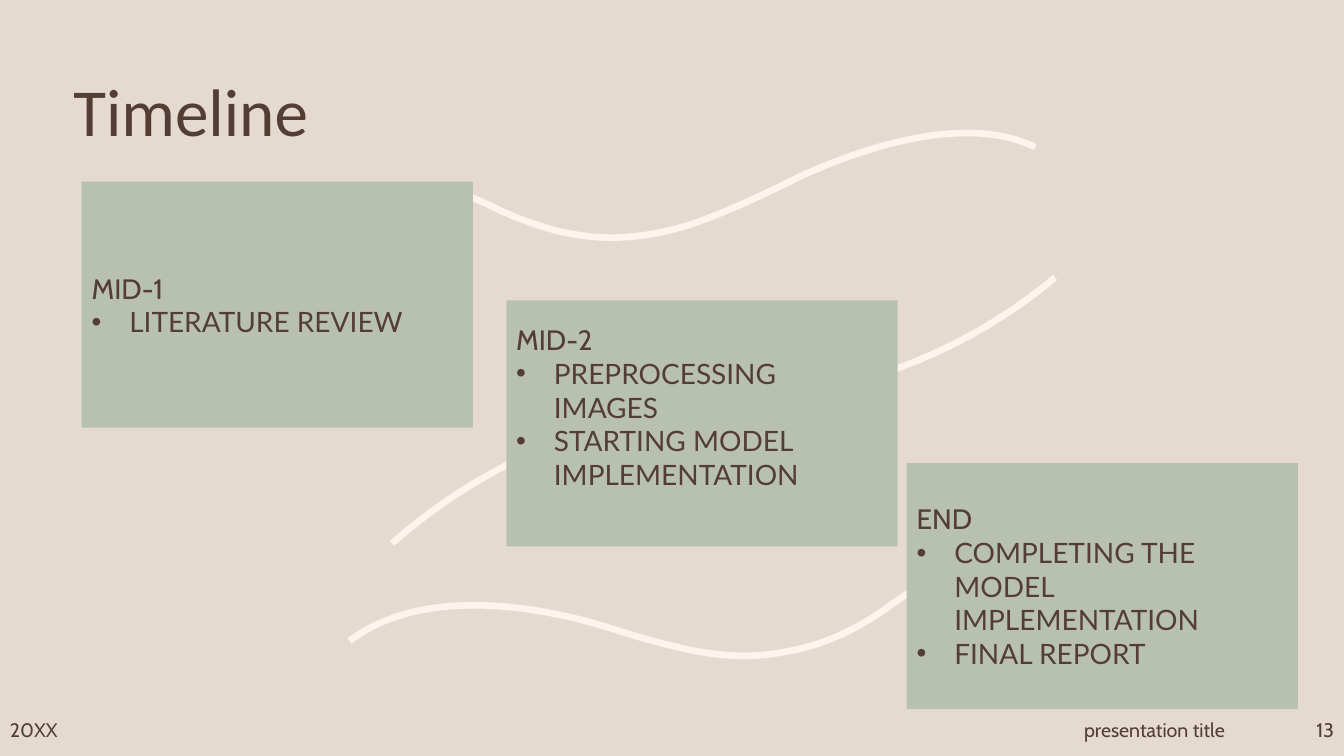
"""Build the Timeline slide: wavy background lines and three milestone boxes."""
import pptx
import pptx.util
import pptx.dml.color
import pptx.enum.shapes
import pptx.enum.text
import pptx.oxml.ns
import lxml.etree
from dataclasses import dataclass

Cm, Pt = pptx.util.Cm, pptx.util.Pt
RGB = pptx.dml.color.RGBColor.from_string
ALIGN, ANCHOR = pptx.enum.text.PP_ALIGN, pptx.enum.text.MSO_ANCHOR
qn = pptx.oxml.ns.qn


@dataclass(frozen=True)
class Theme:
    background: str = "E5DACF"
    wave: str = "FEF3ED"
    box: str = "B8C0B0"
    text: str = "543E34"
    title_font: str = "Calibri"
    heading_font: str = "Cabin"
    body_font: str = "Lato"
    title_size: int = 48
    body_size: int = 20
    footer_size: int = 14
    wave_width: float = 4.75


theme = Theme()


def add_run(p, text, font, size):
    r = p.add_run()
    r.text = text
    r.font.name = font
    r.font.size = Pt(size)
    r.font.color.rgb = RGB(theme.text)


def curve_segments(sp):
    outline = sp._element.find(".//" + qn("a:path"))
    lines = outline.findall(qn("a:lnTo"))
    for i in range(0, len(lines), 3):
        curve = lxml.etree.SubElement(outline, qn("a:cubicBezTo"))
        for line in lines[i:i + 3]:
            curve.append(line[0])
            outline.remove(line)


prs = pptx.Presentation()
prs.slide_width, prs.slide_height = Cm(33.87), Cm(19.05)
s = prs.slides.add_slide(prs.slide_layouts[6])
s.background.fill.solid()
s.background.fill.fore_color.rgb = RGB(theme.background)

waves = [
    [(21.16, 9.73), (23.19, 9.22), (25.02, 8.31), (26.59, 6.99)],
    [(14.83, 10.87), (12.93, 11.48), (11.3, 12.45), (9.88, 13.69)],
    [(7.8, 5.66), (8.89, 4.75), (10.11, 4.5), (11.4, 4.83),
     (11.84, 4.93), (12.22, 5.11), (12.62, 5.31),
     (13.46, 5.69), (14.35, 5.97), (15.34, 5.99),
     (16.18, 5.99), (17.02, 5.82), (17.81, 5.51),
     (18.72, 5.16), (19.23, 4.9), (19.76, 4.65),
     (20.35, 4.34), (23.88, 2.62), (26.09, 3.71)],
    [(23.37, 14.71), (22.96, 14.88), (22.63, 15.11), (22.28, 15.37),
     (21.54, 15.88), (20.7, 16.28), (19.76, 16.43),
     (18.95, 16.59), (18.14, 16.54), (17.3, 16.36),
     (16.38, 16.15), (15.85, 15.98), (15.29, 15.8),
     (14.68, 15.62), (11.02, 14.48), (8.81, 16.15)],
]
for wave in waves:
    start, *points = [(Cm(x), Cm(y)) for x, y in wave]
    builder = s.shapes.build_freeform(*start)
    builder.add_line_segments(points, close=False)
    sp = builder.convert_to_shape()
    curve_segments(sp)
    sp.shadow.inherit = False
    sp.fill.background()
    sp.line.color.rgb = RGB(theme.wave)
    sp.line.width = Pt(theme.wave_width)

milestones = [
    (2.06, 4.58, 0.13, "MID-1", ["LITERATURE REVIEW"]),
    (12.76, 7.57, 0.96, "MID-2", ["PREPROCESSING IMAGES", "STARTING MODEL IMPLEMENTATION"]),
    (22.85, 11.67, 0.13, "END", ["COMPLETING THE MODEL IMPLEMENTATION", "FINAL REPORT"]),
]
for left, top, bottom_inset, heading, items in milestones:
    sp = s.shapes.add_shape(pptx.enum.shapes.MSO_SHAPE.RECTANGLE,
                            Cm(left), Cm(top), Cm(9.86), Cm(6.2))
    sp.shadow.inherit = False
    sp.fill.solid()
    sp.fill.fore_color.rgb = RGB(theme.box)
    sp.line.fill.background()
    tf = sp.text_frame
    tf.word_wrap = True
    tf.vertical_anchor = ANCHOR.MIDDLE
    tf.margin_right, tf.margin_bottom = Cm(0.5), Cm(bottom_inset)
    p = tf.paragraphs[0]
    p.alignment = ALIGN.LEFT
    add_run(p, heading, theme.heading_font, theme.body_size)
    for item in items:
        p = tf.add_paragraph()
        p.alignment = ALIGN.LEFT
        pPr = p._p.get_or_add_pPr()
        pPr.set("marL", str(Cm(0.95)))
        pPr.set("indent", str(-Cm(0.95)))
        for tag, key, value in (("buFont", "typeface", "Arial"), ("buChar", "char", "•")):
            lxml.etree.SubElement(pPr, qn("a:" + tag)).set(key, value)
        add_run(p, item, theme.body_font, theme.body_size)

labels = [
    ("Timeline", 1.6, 1.96, 29.21, 1.88, ALIGN.LEFT, theme.title_font, theme.title_size),
    ("20XX", 0, 17.96, 2.74, 0.86, ALIGN.LEFT, theme.heading_font, theme.footer_size),
    ("presentation title", 24.32, 17.96, 9.55, 0.86, ALIGN.CENTER,
     theme.heading_font, theme.footer_size),
    ("13", 31.13, 17.96, 2.74, 0.86, ALIGN.RIGHT, theme.heading_font, theme.footer_size),
]
for text, left, top, width, height, align, font, size in labels:
    tf = s.shapes.add_textbox(Cm(left), Cm(top), Cm(width), Cm(height)).text_frame
    tf.word_wrap = True
    tf.vertical_anchor = ANCHOR.MIDDLE
    p = tf.paragraphs[0]
    p.alignment = align
    if size == theme.title_size:
        p.line_spacing = 0.9
    add_run(p, text, font, size)

prs.save("out.pptx")
